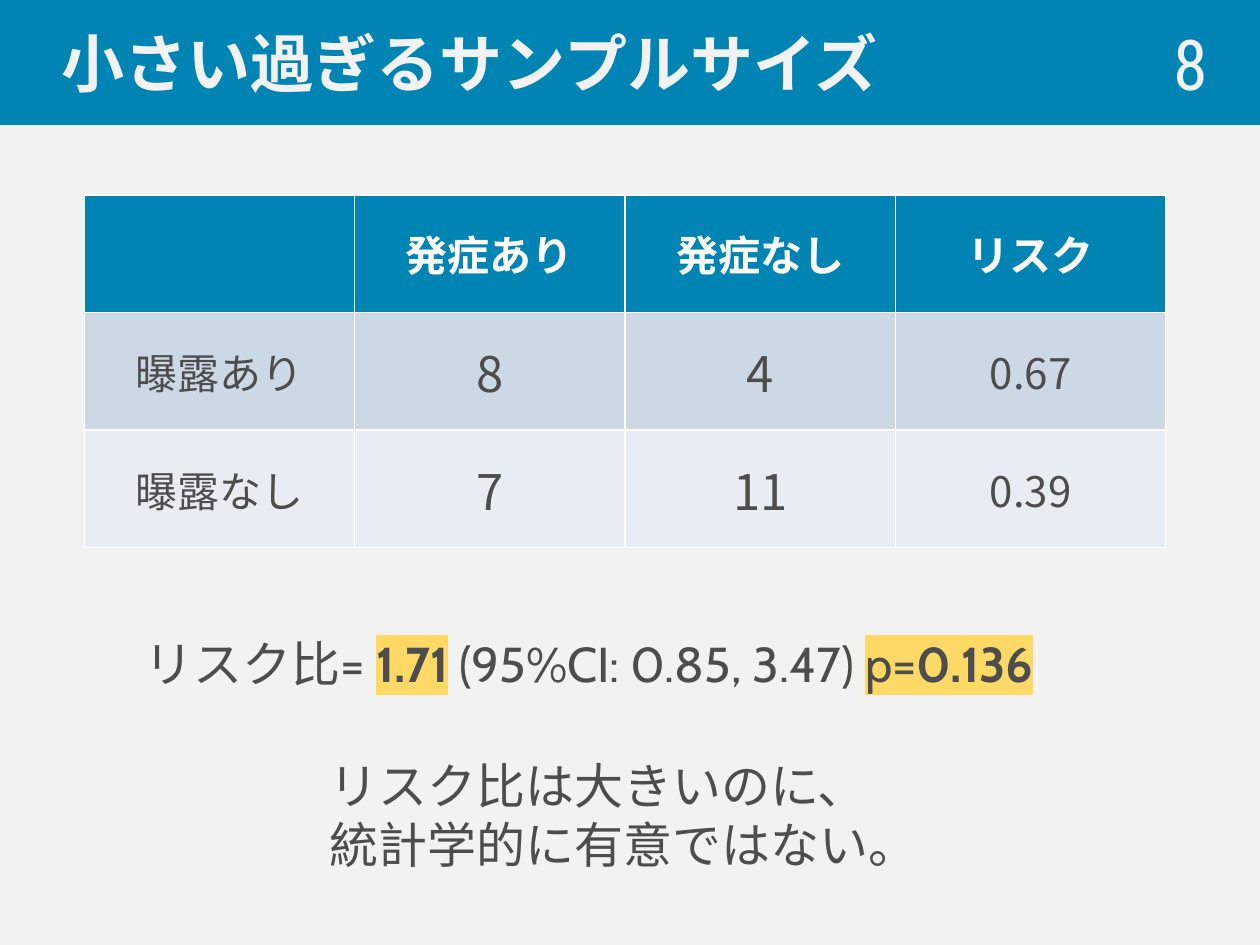
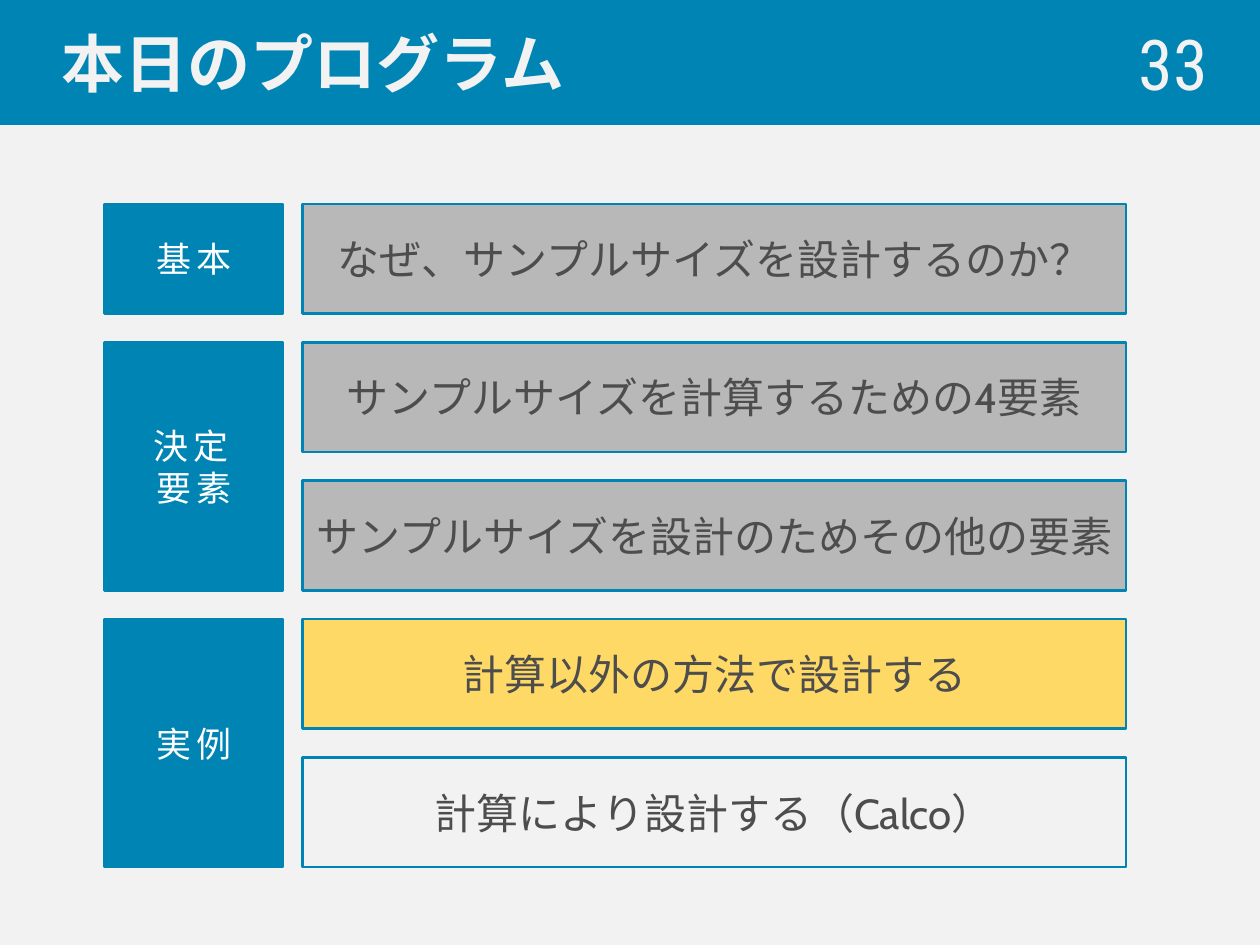
import pptx
import pptx.dml.color
import pptx.enum.shapes
import pptx.enum.text
import pptx.oxml.ns
import pptx.util
from lxml import etree

Cm = pptx.util.Cm
Pt = pptx.util.Pt
ALIGN = pptx.enum.text.PP_ALIGN
MIDDLE = pptx.enum.text.MSO_ANCHOR.MIDDLE
RECTANGLE = pptx.enum.shapes.MSO_SHAPE.RECTANGLE

BLUE, PALE, WHITE = "0084B4", "F2F2F2", "FFFFFF"
TEXT, YELLOW, GRAY = "4D4D4D", "FFD966", "B8B8B8"
JAPANESE, BODY, NUMBER = "Noto Sans CJK JP", "Cabin", "Roboto Condensed"


def rgb(value):
    return pptx.dml.color.RGBColor.from_string(value)


def add_run(paragraph, text, size, color=TEXT, font=BODY, bold=False, highlight=None, spacing=None):
    """Add one run per line of text, with Japanese glyphs in the Japanese font."""
    for index, line in enumerate(text.split("\n")):
        if index:
            paragraph.add_line_break()
        run = paragraph.add_run()
        run.text = line
        run.font.size = Pt(size)
        run.font.bold = bold
        run.font.color.rgb = rgb(color)
        run.font.name = font
        properties = run.font._element
        east_asian = etree.SubElement(properties, pptx.oxml.ns.qn("a:ea"))
        east_asian.set("typeface", JAPANESE)
        if highlight:
            mark = etree.Element(pptx.oxml.ns.qn("a:highlight"))
            etree.SubElement(mark, pptx.oxml.ns.qn("a:srgbClr")).set("val", highlight)
            properties.find(pptx.oxml.ns.qn("a:latin")).addprevious(mark)
        if spacing:
            properties.set("spc", str(spacing * 100))


presentation = pptx.Presentation()
presentation.slide_width = Cm(25.4)
presentation.slide_height = Cm(19.05)

# Background, title band and page number shared by both slides
slides = []
for title, page in [("小さい過ぎるサンプルサイズ", "8"), ("本日のプログラム", "33")]:
    slide = presentation.slides.add_slide(presentation.slide_layouts[6])
    slide.background.fill.solid()
    slide.background.fill.fore_color.rgb = rgb(PALE)

    band = slide.shapes.add_shape(RECTANGLE, 0, 0, presentation.slide_width, Cm(2.5))
    band.shadow.inherit = False
    band.fill.solid()
    band.fill.fore_color.rgb = rgb(BLUE)
    band.line.color.rgb = rgb(BLUE)
    band.line.width = Pt(1.5)
    band.text_frame.margin_left = Cm(1.25)
    band.text_frame.vertical_anchor = MIDDLE
    paragraph = band.text_frame.paragraphs[0]
    paragraph.alignment = ALIGN.LEFT
    add_run(paragraph, title, 36, PALE, JAPANESE, bold=True)

    page_box = slide.shapes.add_textbox(Cm(19.7), Cm(0.48), Cm(4.9), Cm(1.55))
    page_box.text_frame.word_wrap = True
    page_box.text_frame.vertical_anchor = MIDDLE
    paragraph = page_box.text_frame.paragraphs[0]
    paragraph.alignment = ALIGN.RIGHT
    add_run(paragraph, page, 40, PALE, NUMBER)
    slides.append(slide)

sample_slide, program_slide = slides

# Risk table
risk_rows = [
    ["", "発症あり", "発症なし", "リスク"],
    ["曝露あり", "8", "4", "0.67"],
    ["曝露なし", "7", "11", "0.39"],
]
row_fills = [BLUE, "CCD9E5", "E7EDF2"]
table = sample_slide.shapes.add_table(3, 4, Cm(1.7), Cm(3.93), Cm(21.8), Cm(7.11)).table
for row, values in enumerate(risk_rows):
    header = row == 0
    for column, value in enumerate(values):
        cell = table.cell(row, column)
        cell.fill.solid()
        cell.fill.fore_color.rgb = rgb(row_fills[row])
        cell.vertical_anchor = MIDDLE
        if value:
            paragraph = cell.text_frame.paragraphs[0]
            paragraph.alignment = ALIGN.CENTER
            size = 28 if value.isdigit() else 24
            add_run(paragraph, value, size, WHITE if header else TEXT, JAPANESE, bold=header)

# Risk ratio and conclusion
ratio_box = sample_slide.shapes.add_textbox(Cm(2.67), Cm(12.65), Cm(19.86), Cm(1.45))
ratio_box.text_frame.word_wrap = True
paragraph = ratio_box.text_frame.paragraphs[0]
for text, bold, highlight in [
    ("リスク比= ", False, None),
    ("1.71", True, YELLOW),
    (" (95%CI: 0.85, 3.47) ", False, None),
    ("p=", False, YELLOW),
    ("0.136", True, YELLOW),
]:
    add_run(paragraph, text, 28, bold=bold, highlight=highlight)

conclusion_box = sample_slide.shapes.add_textbox(Cm(6.4), Cm(15.11), Cm(12.6), Cm(2.64))
conclusion_box.text_frame.word_wrap = True
add_run(conclusion_box.text_frame.paragraphs[0], "リスク比は大きいのに、\n統計学的に有意ではない。", 28)

# Program: each section spans its topics, one topic per row
sections = [
    ("基本", [("なぜ、サンプルサイズを設計するのか？", GRAY)]),
    ("決定\n要素", [
        ("サンプルサイズを計算するための4要素", GRAY),
        ("サンプルサイズを設計のためその他の要素", GRAY),
    ]),
    ("実例", [
        ("計算以外の方法で設計する", YELLOW),
        ("計算により設計する（Calco）", None),
    ]),
]
FIRST_TOP, ROW_STEP, ROW_HEIGHT = 4.11, 2.79, 2.21
boxes = []
row = 0
for section, topics in sections:
    top = FIRST_TOP + row * ROW_STEP
    height = ROW_HEIGHT + (len(topics) - 1) * ROW_STEP
    boxes.append((section, 2.11, top, 3.6, height, BLUE, 20, WHITE, 3))
    for topic, fill in topics:
        top = FIRST_TOP + row * ROW_STEP
        boxes.append((topic, 6.1, top, 16.6, ROW_HEIGHT, fill, 24, TEXT, None))
        row += 1

for text, left, top, width, height, fill, size, color, spacing in boxes:
    box = program_slide.shapes.add_shape(RECTANGLE, Cm(left), Cm(top), Cm(width), Cm(height))
    box.shadow.inherit = False
    if fill:
        box.fill.solid()
        box.fill.fore_color.rgb = rgb(fill)
    else:
        box.fill.background()
    box.line.color.rgb = rgb(BLUE)
    box.line.width = Pt(1.5)
    frame = box.text_frame
    frame.word_wrap = True
    frame.margin_left = frame.margin_right = Cm(0.2)
    frame.vertical_anchor = MIDDLE
    paragraph = frame.paragraphs[0]
    paragraph.alignment = ALIGN.CENTER
    add_run(paragraph, text, size, color, spacing=spacing)

presentation.save("out.pptx")
